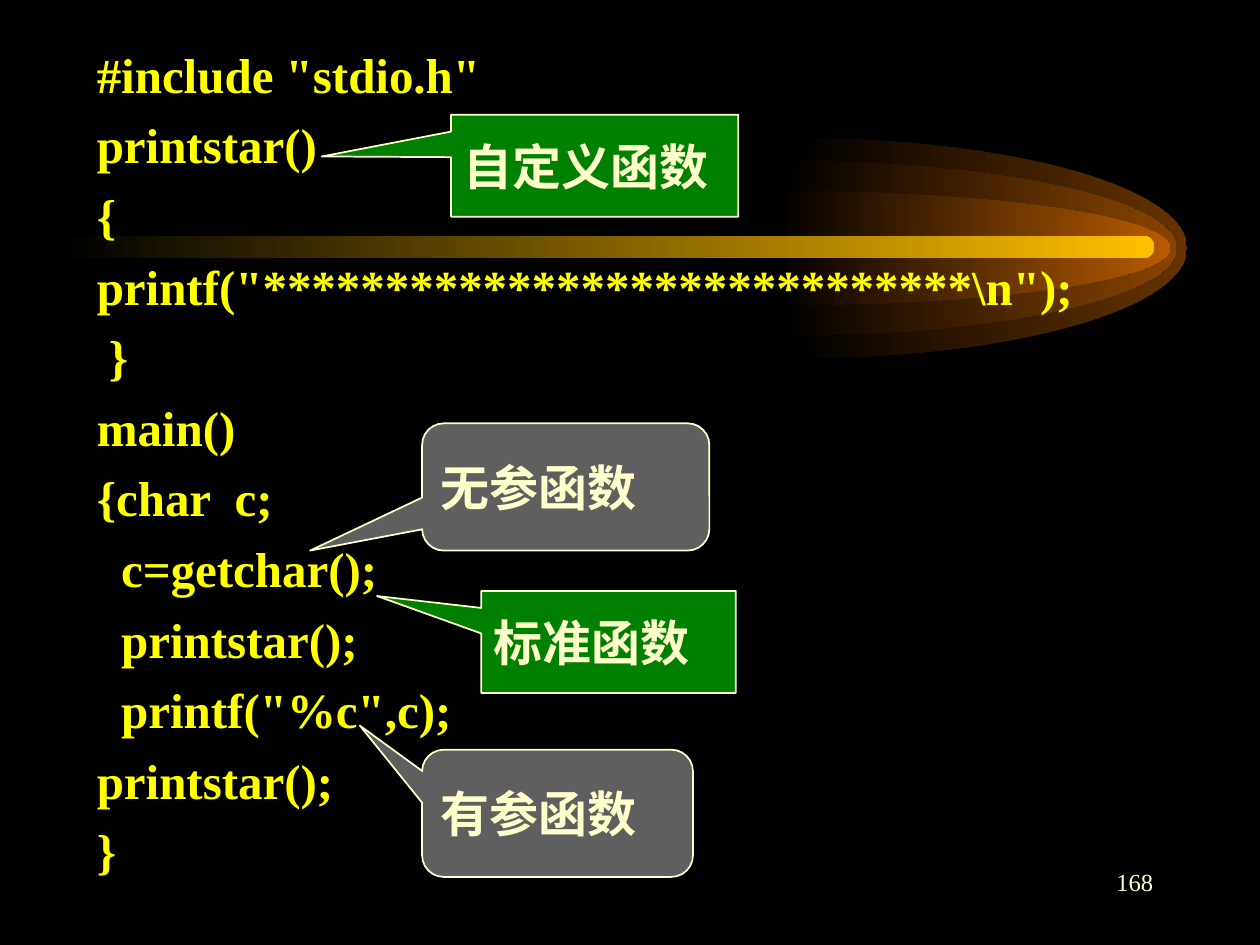
from dataclasses import dataclass

from lxml import etree
from pptx import Presentation
from pptx.dml.color import RGBColor
from pptx.enum.shapes import MSO_SHAPE
from pptx.enum.text import MSO_ANCHOR, PP_ALIGN
from pptx.oxml.ns import qn
from pptx.util import Inches, Pt

ROUND_CALLOUT = MSO_SHAPE.ROUNDED_RECTANGULAR_CALLOUT
SQUARE_CALLOUT = MSO_SHAPE.RECTANGULAR_CALLOUT
BAR = MSO_SHAPE.ROUNDED_RECTANGLE
MIDDLE = MSO_ANCHOR.MIDDLE
TOP = MSO_ANCHOR.TOP
LEFT = PP_ALIGN.LEFT
RIGHT = PP_ALIGN.RIGHT


@dataclass(frozen=True)
class Theme:
    font: str = "Times New Roman"
    background: str = "000000"
    code: str = "FFFF00"
    label: str = "FFFFCC"
    grey: str = "5F5F5F"
    green: str = "008000"
    bar: str = "FFBF00"
    main_size: float = 28
    number_size: float = 14
    code_leading: float = 40.35
    outline: float = 1


@dataclass(frozen=True)
class Glow:
    left: float
    height: float
    color: str


@dataclass(frozen=True)
class Callout:
    text: str
    kind: MSO_SHAPE
    fill: str
    place: tuple[float, float, float, float]
    adjustments: tuple[float, ...]


THEME = Theme()
GLOW_WIDTH = 3.13
GLOW_CENTER = 1.97
GLOW_SCALE = 1000
HALF_ELLIPSE = [
    ("moveTo", [(0, 0)]),
    ("cubicBezTo", [(552, 0), (1000, 224), (1000, 500)]),
    ("cubicBezTo", [(1000, 776), (552, 1000), (0, 1000)]),
]
CLOSING = [("lnTo", [(0, 500)]), ("close", [])]
GLOWS = [
    Glow(6.29, 1.75, "663300"),
    Glow(6.21, 1.39, "894400"),
    Glow(6.16, 0.91, "B75B00"),
]
CALLOUTS = [
    Callout("无参函数", ROUND_CALLOUT, THEME.grey, (3.35, 3.36, 2.28, 1.01), (-0.89, 0.5, 0.17)),
    Callout("有参函数", ROUND_CALLOUT, THEME.grey, (3.35, 5.95, 2.15, 1.01), (-0.73, -0.69, 0.17)),
    Callout("自定义函数", SQUARE_CALLOUT, THEME.green, (3.58, 0.91, 2.28, 0.81), (-0.95, -0.09)),
    Callout("标准函数", SQUARE_CALLOUT, THEME.green, (3.82, 4.69, 2.02, 0.81), (-0.91, -0.45)),
]
CODE = r'''#include "stdio.h"
printstar()
{
printf("*****************************\n");
 }
main()
{char  c;
  c=getchar();
  printstar();
  printf("%c",c);
printstar();
}'''


def rgb(color: str) -> RGBColor:
    return RGBColor.from_string(color)


def apply(target, formats: dict) -> None:
    for name, value in formats.items():
        setattr(target, name, value)


def fade_from_background(shape, color: str) -> None:
    shape.shadow.inherit = False
    shape.line.fill.background()
    shape.fill.gradient()
    shape.fill.gradient_angle = 0
    for stop, stop_color in zip(shape.fill.gradient_stops, (THEME.background, color)):
        stop.color.rgb = rgb(stop_color)


def add_curve(outlines, commands: list, **attributes: str) -> None:
    size = str(GLOW_SCALE)
    curve = etree.SubElement(outlines, qn("a:path"), w=size, h=size, **attributes)
    for name, points in commands:
        command = etree.SubElement(curve, qn(f"a:{name}"))
        for x, y in points:
            etree.SubElement(command, qn("a:pt"), x=str(x), y=str(y))


def draw_glow(page, glow: Glow):
    left, right = Inches(glow.left), Inches(glow.left + GLOW_WIDTH)
    top, bottom = (Inches(GLOW_CENTER + side * glow.height / 2) for side in (-1, 1))
    builder = page.shapes.build_freeform(left, top)
    builder.add_line_segments([(right, top), (right, bottom), (left, bottom)])
    shape = builder.convert_to_shape()
    outlines = shape.element.find(f".//{qn('a:pathLst')}")
    outlines.clear()
    add_curve(outlines, HALF_ELLIPSE, fill="none")
    add_curve(outlines, HALF_ELLIPSE + CLOSING)
    fade_from_background(shape, glow.color)
    return shape


def draw_bar(page):
    bar = page.shapes.add_shape(BAR, *map(Inches, (0.5, 1.87, 8.66, 0.18)))
    bar.adjustments[0] = 0.5
    fade_from_background(bar, THEME.bar)
    return bar


def write(box, lines: list[str], color: str, size: float, bold: bool = True,
          frame_formats: dict | None = None, paragraph_formats: dict | None = None) -> None:
    frame = box.text_frame
    apply(frame, {"word_wrap": True, "vertical_anchor": TOP, **(frame_formats or {})})
    for index, line in enumerate(lines):
        para = frame.add_paragraph() if index else frame.paragraphs[0]
        apply(para, {"alignment": LEFT, **(paragraph_formats or {})})
        span = para.add_run()
        span.text = line
        apply(span.font, {"name": THEME.font, "size": Pt(size), "bold": bold})
        span.font.color.rgb = rgb(color)


def draw_callout(page, callout: Callout) -> None:
    box = page.shapes.add_shape(callout.kind, *map(Inches, callout.place))
    for index, value in enumerate(callout.adjustments):
        box.adjustments[index] = value
    box.shadow.inherit = False
    box.fill.solid()
    box.fill.fore_color.rgb = rgb(callout.fill)
    box.line.color.rgb = rgb(THEME.label)
    box.line.width = Pt(THEME.outline)
    write(box, [callout.text], THEME.label, THEME.main_size,
          frame_formats={"word_wrap": False, "vertical_anchor": MIDDLE})


def main() -> None:
    deck = Presentation()
    apply(deck, {"slide_width": Inches(10), "slide_height": Inches(7.5)})
    page = deck.slides.add_slide(deck.slide_layouts[6])
    page.background.fill.solid()
    page.background.fill.fore_color.rgb = rgb(THEME.background)

    backdrop = [draw_glow(page, glow) for glow in GLOWS] + [draw_bar(page)]
    for shape in backdrop:
        deck.slide_master.shapes.element.append(shape.element)

    number_box = page.shapes.add_textbox(*map(Inches, (7.17, 6.83, 2.08, 0.5)))
    write(number_box, ["168"], THEME.label, THEME.number_size, bold=False,
          paragraph_formats={"alignment": RIGHT})

    for callout in CALLOUTS:
        draw_callout(page, callout)

    code_box = page.shapes.add_textbox(*map(Inches, (0.67, 0.21, 8.74, 6.83)))
    write(code_box, CODE.splitlines(), THEME.code, THEME.main_size,
          paragraph_formats={"line_spacing": Pt(THEME.code_leading)})

    deck.save("out.pptx")


if __name__ == "__main__":
    main()
